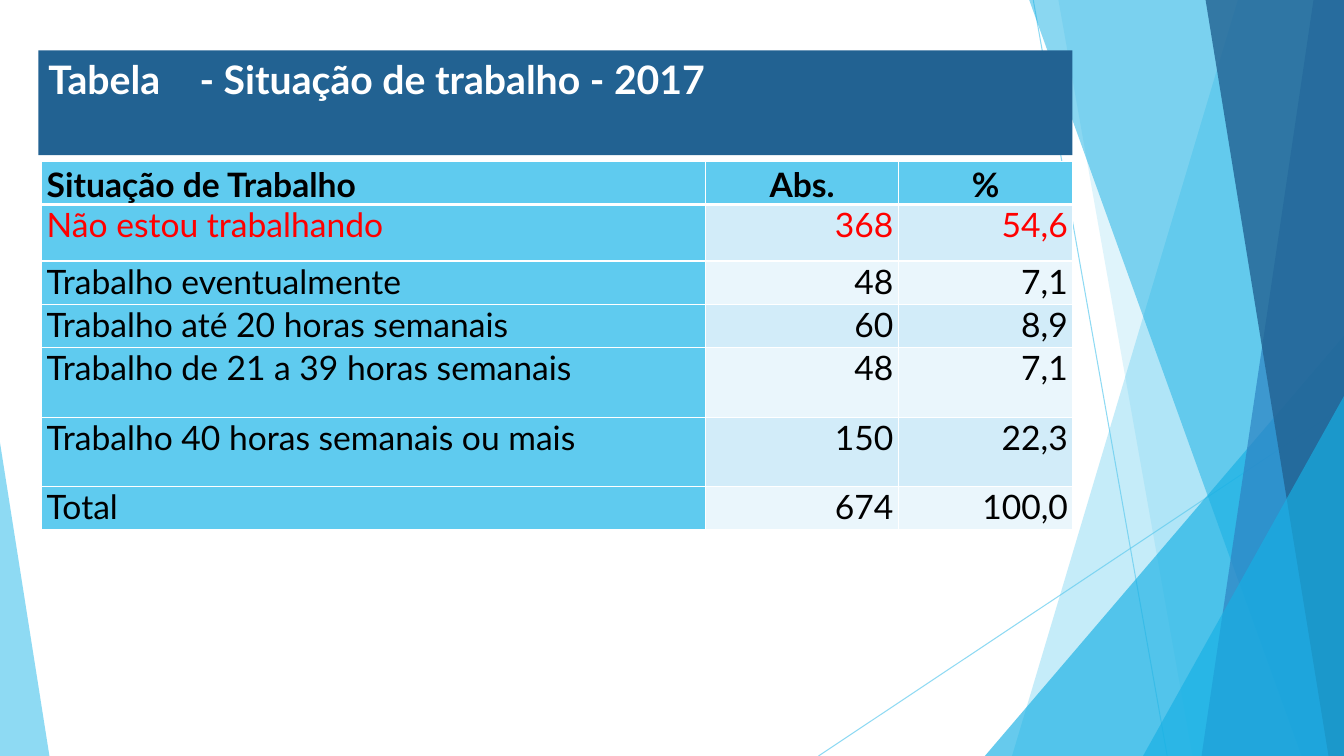
from lxml.etree import SubElement
from pptx import Presentation
from pptx.dml.color import RGBColor
from pptx.enum.shapes import MSO_CONNECTOR, MSO_SHAPE
from pptx.enum.text import MSO_ANCHOR, PP_ALIGN
from pptx.oxml.ns import qn
from pptx.util import Inches, Pt

theme = {
    "font": "Lato",
    "title_size": 28,
    "body_size": 24,
    "sky": "5FCBEF",
    "azure": "17B0E4",
    "blue": "2E83C3",
    "navy": "226292",
    "stripes": ["EAF6FC", "D2ECF9"],
    "white": "FFFFFF",
    "black": "000000",
    "highlight": "FF0000",
}

presentation = Presentation()
presentation.slide_width = Inches(13.33)
presentation.slide_height = Inches(7.5)
slide = presentation.slides.add_slide(presentation.slide_layouts[5])


def share(x, y):
    return round(presentation.slide_width * x / 100), round(presentation.slide_height * y / 100)


def write(frame, text, size, color, bold=False, align=PP_ALIGN.LEFT, tab=None):
    paragraph = frame.paragraphs[0]
    paragraph.alignment = align
    if tab:
        stops = SubElement(paragraph._p.get_or_add_pPr(), qn("a:tabLst"))
        SubElement(stops, qn("a:tab"), pos=str(tab), algn="l")
    run = paragraph.add_run()
    run.text = text
    run.font.name = theme["font"]
    run.font.size = Pt(size)
    run.font.bold = bold
    run.font.color.rgb = RGBColor.from_string(color)


translucent = []
for start, end in [((76.88, 0), (86.85, 100)), ((100, 53.73), (60.9, 100))]:
    ray = slide.shapes.add_connector(MSO_CONNECTOR.STRAIGHT, *share(*start), *share(*end))
    ray.line.color.rgb = RGBColor.from_string(theme["sky"])
    ray.line.width = Pt(0.75)
    SubElement(ray.element.spPr, qn("a:effectLst"))
    translucent.append((ray, 70))

facets = [
    ("band", (92.1, 75.3), "sky", 36),
    ("band", (78.75, 88.73), "sky", 20),
    ("triangle", (73.28, 44.4, 26.72, 1), "azure", 66),
    ("band", (76.58, 96.83), "azure", 50),
    ("band", (97.73, 89.4), "blue", 70),
    ("band", (89.7, 98.85), "navy", 80),
    ("triangle", (85.05, 52.4, 14.95, 1), "azure", 66),
    ("triangle", (0, 58.53, 3.68, 0), "sky", 70),
]
for outline, geometry, color, opacity in facets:
    if outline == "band":
        top_x, bottom_x = geometry
        builder = slide.shapes.build_freeform(*share(top_x, 0))
        builder.add_line_segments([share(100, 0), share(100, 100), share(bottom_x, 100)])
        facet = builder.convert_to_shape()
    else:
        left, top, width, apex = geometry
        facet = slide.shapes.add_shape(
            MSO_SHAPE.ISOSCELES_TRIANGLE, *share(left, top), *share(width, 100 - top))
        facet.adjustments[0] = apex
    facet.fill.solid()
    facet.fill.fore_color.rgb = RGBColor.from_string(theme[color])
    facet.line.fill.background()
    facet.shadow.inherit = False
    translucent.append((facet, opacity))

for layer, opacity in translucent:
    for tint in layer.element.spPr.iter(qn("a:srgbClr")):
        SubElement(tint, qn("a:alpha"), val=str(opacity * 1000))

work_status = [
    ("Situação de Trabalho", "Abs.", "%"),
    ("Não estou trabalhando", "368", "54,6"),
    ("Trabalho eventualmente", "48", "7,1"),
    ("Trabalho até 20 horas semanais", "60", "8,9"),
    ("Trabalho de 21 a 39 horas semanais", "48", "7,1"),
    ("Trabalho 40 horas semanais ou mais", "150", "22,3"),
    ("Total", "674", "100,0"),
]
column_shares = [49.42, 14.33, 12.98]
row_shares = [5.73, 7.47, 5.73, 5.73, 9.2, 9.2, 5.73]
status_table = slide.shapes.add_table(
    len(work_status), len(column_shares), *share(3.1, 21.33),
    *share(sum(column_shares), sum(row_shares))).table
for column, width in zip(status_table.columns, column_shares):
    column.width = share(width, 0)[0]
for row, height in zip(status_table.rows, row_shares):
    row.height = share(0, height)[1]

for r, record in enumerate(work_status):
    for c, entry in enumerate(record):
        cell = status_table.cell(r, c)
        header = r == 0
        cell.margin_left = cell.margin_right = Inches(0.05)
        cell.margin_top = cell.margin_bottom = 0
        cell.vertical_anchor = MSO_ANCHOR.BOTTOM if header else MSO_ANCHOR.TOP
        for side in ("lnL", "lnR", "lnT", "lnB"):
            under_header = (r, side) in [(0, "lnB"), (1, "lnT")]
            border = SubElement(cell._tc.get_or_add_tcPr(), qn(f"a:{side}"),
                                w=str(Pt(3 if under_header else 1)))
            SubElement(SubElement(border, qn("a:solidFill")), qn("a:srgbClr"), val=theme["white"])
        cell.fill.solid()
        cell.fill.fore_color.rgb = RGBColor.from_string(
            theme["sky"] if header or c == 0 else theme["stripes"][r % 2])
        number_align = PP_ALIGN.CENTER if header else PP_ALIGN.RIGHT
        write(cell.text_frame, entry, theme["body_size"],
              theme["highlight"] if r == 1 else theme["black"],
              bold=header, align=PP_ALIGN.LEFT if c == 0 else number_align)

heading = slide.shapes.title
heading.left, heading.top = share(2.85, 6.67)
heading.width, heading.height = share(76.95, 13.87)
heading.fill.solid()
heading.fill.fore_color.rgb = RGBColor.from_string(theme["navy"])
heading.text_frame.vertical_anchor = MSO_ANCHOR.TOP
heading.text_frame.word_wrap = True
write(heading.text_frame, "Tabela\t- Situação de trabalho - 2017", theme["title_size"],
      theme["white"], bold=True, tab=Inches(1.5))
heading.element.getparent().append(heading.element)

presentation.save("out.pptx")
